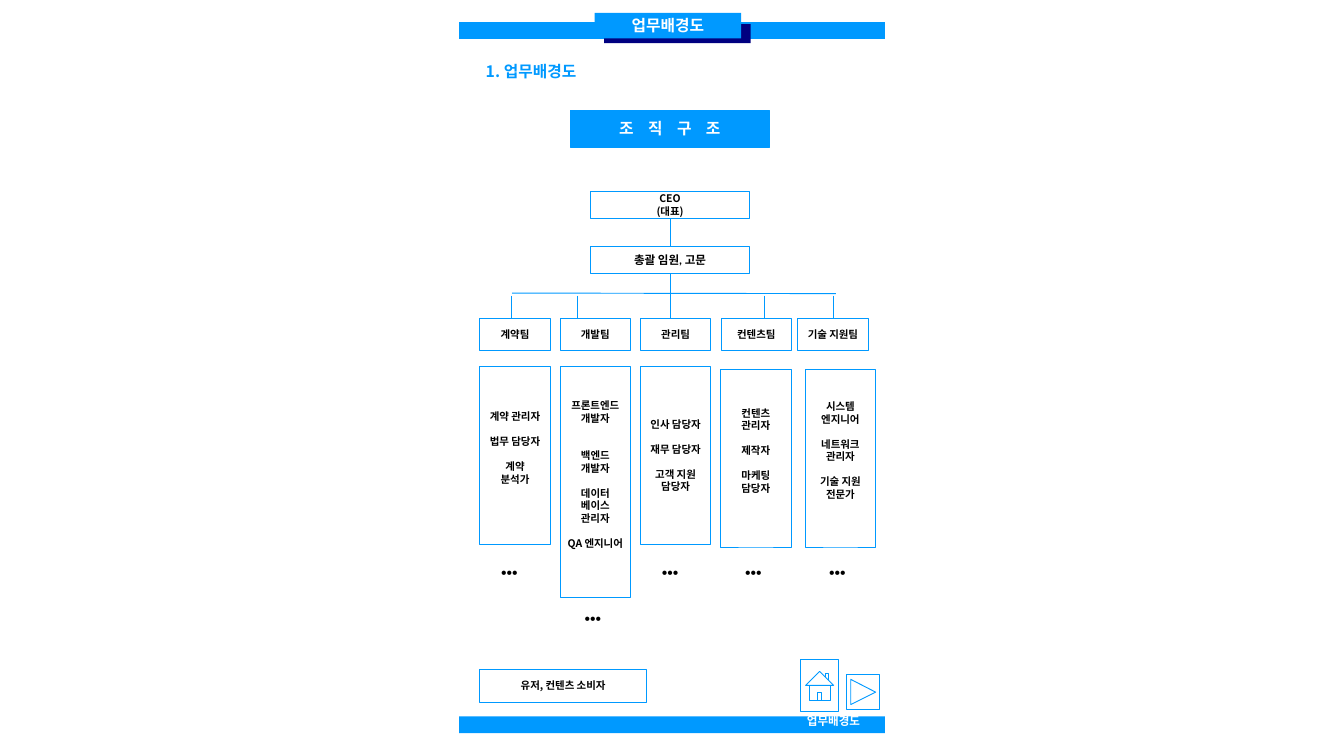
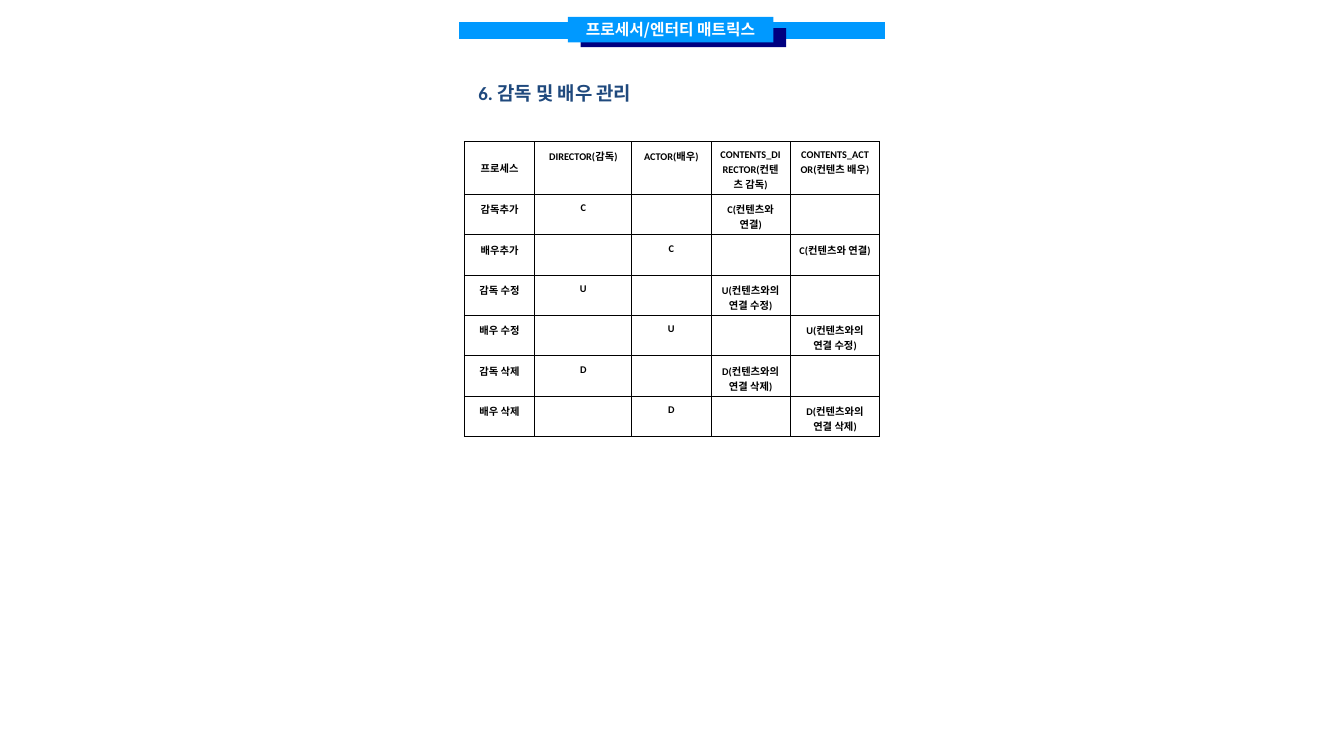
from dataclasses import dataclass

import pptx
import pptx.dml.color
import pptx.enum.shapes
import pptx.enum.text
import pptx.oxml
import pptx.oxml.ns
import pptx.util
from lxml import etree

Pt = pptx.util.Pt
RGBColor = pptx.dml.color.RGBColor
ALIGN = pptx.enum.text.PP_ALIGN
ANCHOR = pptx.enum.text.MSO_ANCHOR
qn = pptx.oxml.ns.qn

BLUE = RGBColor(0x00, 0x99, 0xFF)
NAVY = RGBColor(0x00, 0x00, 0x80)
SLATE = RGBColor(0x1F, 0x49, 0x7D)
BLACK = RGBColor(0x00, 0x00, 0x00)
WHITE = RGBColor(0xFF, 0xFF, 0xFF)

KOREAN = "Noto Sans CJK KR"
CALIBRI = "Calibri"
SERIF = "Times New Roman"

BAR_LEFT, BAR_WIDTH, BAR_HEIGHT = 492, 456, 18
LABEL_SIZE, HEADING_SIZE = 11.2, 16.9
LINE_PITCH = 13.4
INSETS = (6.4, 3.6, 6.4, 3.6)

TEAM_WIDTH, TEAM_TOP, TEAM_HEIGHT = 75.6, 340.6, 35.3
BRANCH_TOP = 316.8


@dataclass
class Team:
    """One column of the chart; each role carries the blank lines above it."""
    name: str
    left: float
    branch: float
    roles: list
    roles_left: float
    dots_left: float
    roles_top: float = 392.4
    roles_height: float = 190.8
    dots_top: float = 599
    lift: float = 16


TEAMS = [
    Team("계약팀", 514, 547.9,
         [("계약 관리자", 0), ("법무 담당자", 1), ("계약", 1), ("분석가", 0)],
         514, 530.6),
    Team("개발팀", 600, 619.2,
         [("프론트엔드 개발자", 0), ("백엔드 개발자", 2),
          ("데이터 베이스 관리자", 1), ("QA 엔지니어", 1)],
         600, 620, roles_height=247.7, dots_top=648.7),
    Team("관리팀", 686, 718.5,
         [("인사 담당자", 0), ("재무 담당자", 1), ("고객 지원 담당자", 1)],
         686, 702.7, lift=0),
    Team("컨텐츠팀", 772.5, 819.4,
         [("컨텐츠 관리자", 0), ("제작자", 1), ("마케팅 담당자", 1)],
         772, 792, roles_top=395.3),
    Team("기술 지원팀", 854.6, 892.8,
         [("시스템 엔지니어", 0), ("네트워크 관리자", 1), ("기술 지원 전문가", 1)],
         862.6, 882, roles_top=395.3),
]

MATRIX_COLUMNS = [75.6, 103.7, 85, 85, 95.8]
MATRIX_HEADER_HEIGHT, MATRIX_ROW_HEIGHT = 56.9, 43.2
MATRIX = [
    ["프로세스", "DIRECTOR(감독)", "ACTOR(배우)",
     "CONTENTS_DIRECTOR(컨텐츠 감독)", "CONTENTS_ACTOR(컨텐츠 배우)"],
    ["감독추가", "C", "", "C(컨텐츠와 연결)", ""],
    ["배우추가", "", "C", "", "C(컨텐츠와 연결)"],
    ["감독 수정", "U", "", "U(컨텐츠와의 연결 수정)", ""],
    ["배우 수정", "", "U", "", "U(컨텐츠와의 연결 수정)"],
    ["감독 삭제", "D", "", "D(컨텐츠와의 연결 삭제)", ""],
    ["배우 삭제", "", "D", "", "D(컨텐츠와의 연결 삭제)"],
]


def write(frame, *lines, size=LABEL_SIZE, color=BLACK, font=KOREAN,
          align=ALIGN.CENTER, pitch=None, spacing=None):
    """Fill a frame with bold lines, each a text or (text, blank lines above)."""
    for index, line in enumerate(lines):
        text, gap = (line, 0) if isinstance(line, str) else line
        para = frame.paragraphs[0] if index == 0 else frame.add_paragraph()
        para.alignment = align
        if pitch:
            para.line_spacing = Pt(pitch)
            if gap:
                para.space_before = Pt(gap * pitch)
        span = para.add_run()
        span.text = text
        span.font.name = font
        span.font.size = Pt(size)
        span.font.bold = True
        span.font.color.rgb = color
        properties = span._r.get_or_add_rPr()
        east_asian = SERIF if font == SERIF else KOREAN
        etree.SubElement(properties, qn("a:ea"), typeface=east_asian)
        if spacing:
            properties.set("spc", str(round(spacing * 100)))


def set_frame(frame, insets=INSETS, anchor=ANCHOR.TOP, wrap=True):
    frame.auto_size = pptx.enum.text.MSO_AUTO_SIZE.NONE
    frame.word_wrap = wrap
    frame.vertical_anchor = anchor
    (frame.margin_left, frame.margin_top,
     frame.margin_right, frame.margin_bottom) = map(Pt, insets)


def add_box(slide, left, top, width, height, *lines, fill=None, line=None,
            insets=INSETS, **text_format):
    box = slide.shapes.add_shape(
        pptx.enum.shapes.MSO_SHAPE.RECTANGLE,
        Pt(left), Pt(top), Pt(width), Pt(height))
    box.shadow.inherit = False
    if fill is None:
        box.fill.background()
    else:
        box.fill.solid()
        box.fill.fore_color.rgb = fill
    if line is None:
        box.line.fill.background()
    else:
        box.line.color.rgb = line
        box.line.width = Pt(0.75)
    set_frame(box.text_frame, insets, ANCHOR.MIDDLE)
    write(box.text_frame, *lines, **text_format)


def add_label(slide, left, top, width, height, text, **text_format):
    label = slide.shapes.add_textbox(Pt(left), Pt(top), Pt(width), Pt(height))
    set_frame(label.text_frame, wrap=False)
    write(label.text_frame, text, align=ALIGN.LEFT, **text_format)


def add_line(slide, x1, y1, x2, y2):
    line = slide.shapes.add_connector(
        pptx.enum.shapes.MSO_CONNECTOR.STRAIGHT, Pt(x1), Pt(y1), Pt(x2), Pt(y2))
    line.line.color.rgb = BLUE
    line.line.width = Pt(1)
    etree.SubElement(line._element.spPr, qn("a:effectLst"))


def add_button(slide, left, top, width, height, *contours):
    """Draw a framed icon; each contour is (points within the frame, closed)."""
    frame = [(0, 0), (width, 0), (width, height), (0, height)]
    builder = slide.shapes.build_freeform(Pt(left), Pt(top))
    for points, closed in [(frame, True), *contours]:
        corners = [(Pt(left + x), Pt(top + y)) for x, y in points]
        builder.move_to(*corners[0])
        builder.add_line_segments(corners[1:], close=closed)
    button = builder.convert_to_shape()
    button.shadow.inherit = False
    button.fill.background()
    button.line.color.rgb = BLUE
    button.line.width = Pt(1)


def add_bar(slide, top):
    add_box(slide, BAR_LEFT, top, BAR_WIDTH, BAR_HEIGHT, fill=BLUE)


def add_banner(slide, text, left, top, width, shift):
    """Header bar with the section name on a plate and its offset shade."""
    add_bar(slide, 23.8)
    add_box(slide, left + shift, top + 12.2, width, 20.2, fill=NAVY)
    add_box(slide, left, top, width, 27.4, text,
            fill=BLUE, size=HEADING_SIZE, color=WHITE)


def set_title(slide, text, left, top, width, height, insets, **text_format):
    title = slide.shapes.title
    title.left, title.top, title.width, title.height = map(
        Pt, (left, top, width, height))
    set_frame(title.text_frame, insets)
    write(title.text_frame, text, align=ALIGN.LEFT, **text_format)


def add_team(slide, team):
    add_line(slide, team.branch, BRANCH_TOP, team.branch, TEAM_TOP)
    add_box(slide, team.left, TEAM_TOP, TEAM_WIDTH, TEAM_HEIGHT, team.name,
            line=BLUE, pitch=LINE_PITCH)
    side, top, _, bottom = INSETS
    add_box(slide, team.roles_left, team.roles_top, TEAM_WIDTH,
            team.roles_height, *team.roles, line=BLUE, pitch=LINE_PITCH,
            insets=(side, top, side, bottom + team.lift))
    add_label(slide, team.dots_left, team.dots_top, 35.3, 27.4, "•••",
              size=HEADING_SIZE, font=SERIF)


def add_footer(slide, section):
    add_bar(slide, 767.5)
    add_label(slide, 858.2, 761.5, 85, 21.6, section, size=12.4, color=WHITE)
    add_button(slide, 858.2, 706.3, 40.3, 56.2,
               ([(20, 13), (35, 28), (5, 28)], True),
               ([(8.6, 28), (8.6, 44), (31.7, 44), (31.7, 28)], False),
               ([(26, 19), (26, 15), (29.5, 15), (29.5, 22.5)], False),
               ([(18, 44), (18, 36), (22.3, 36), (22.3, 44)], False))
    add_button(slide, 907.2, 722.9, 35.3, 37.4,
               ([(31, 18.7), (4.3, 5), (4.3, 32)], True))


def build_organisation(slide):
    set_title(slide, "1. 업무배경도", 514, 63, 282, 27.4, INSETS,
              size=HEADING_SIZE, color=BLUE)
    add_banner(slide, "업무배경도", 637.2, 13.7, 157, 10)
    add_box(slide, 611.3, 118, 213, 39.6, "조 직 구 조", fill=BLUE, line=BLUE,
            size=HEADING_SIZE, color=WHITE, spacing=5.8)
    add_box(slide, 632.9, 204.5, 170, 29.5, "CEO", "(대표)",
            line=BLUE, pitch=LINE_PITCH)
    add_box(slide, 632.9, 263.5, 170, 29.5, "총괄 임원, 고문",
            line=BLUE, size=12.4, font=CALIBRI)
    add_line(slide, 718.5, 234, 718.5, 263.5)
    add_line(slide, 718.5, 293, 718.5, BRANCH_TOP)
    add_line(slide, 548.6, 314, 895.7, 314.6)
    for team in TEAMS:
        add_team(slide, team)
    add_box(slide, 514, 717, 178.6, 35.3, "유저, 컨텐츠 소비자", line=BLUE)
    add_footer(slide, "업무배경도")


def format_cell(cell):
    properties = cell._tc.get_or_add_tcPr()
    for side in ("L", "R", "T", "B"):
        properties.append(pptx.oxml.parse_xml(
            f'<a:ln{side} {pptx.oxml.ns.nsdecls("a")} w="{Pt(1)}">'
            f'<a:solidFill><a:srgbClr val="{BLACK}"/></a:solidFill>'
            f'</a:ln{side}>'))
    cell.fill.background()
    cell.margin_left = cell.margin_top = cell.margin_right = Pt(8)
    cell.margin_bottom = Pt(0)


def add_matrix(slide, left, top):
    heights = [MATRIX_HEADER_HEIGHT] + [MATRIX_ROW_HEIGHT] * (len(MATRIX) - 1)
    table = slide.shapes.add_table(
        len(MATRIX), len(MATRIX_COLUMNS), Pt(left), Pt(top),
        Pt(sum(MATRIX_COLUMNS)), Pt(sum(heights))).table
    table.first_row = table.horz_banding = False
    for column, width in zip(table.columns, MATRIX_COLUMNS):
        column.width = Pt(width)
    for row, height, texts in zip(table.rows, heights, MATRIX):
        row.height = Pt(height)
        for cell, text in zip(row.cells, texts):
            format_cell(cell)
            if text:
                write(cell.text_frame, text, size=11, font=CALIBRI)
    corner = table.cell(0, 0)
    corner.vertical_anchor = ANCHOR.MIDDLE
    corner.margin_bottom = corner.margin_top


def build_matrix(slide):
    set_title(slide, "6. 감독 및 배우 관리", 464.4, 79.2, 255.6, 32.4,
              (48.2, 8, 8, 8), size=20.2, color=SLATE, font=CALIBRI)
    add_banner(slide, "프로세서/엔터티 매트릭스", 608.4, 18, 220.3, 13.7)
    add_matrix(slide, 497.5, 151.5)


def main():
    deck = pptx.Presentation()
    deck.slide_width, deck.slide_height = Pt(1440), Pt(810)
    title_only = deck.slide_layouts[5]
    for build in (build_organisation, build_matrix):
        build(deck.slides.add_slide(title_only))
    deck.save("out.pptx")


if __name__ == "__main__":
    main()
